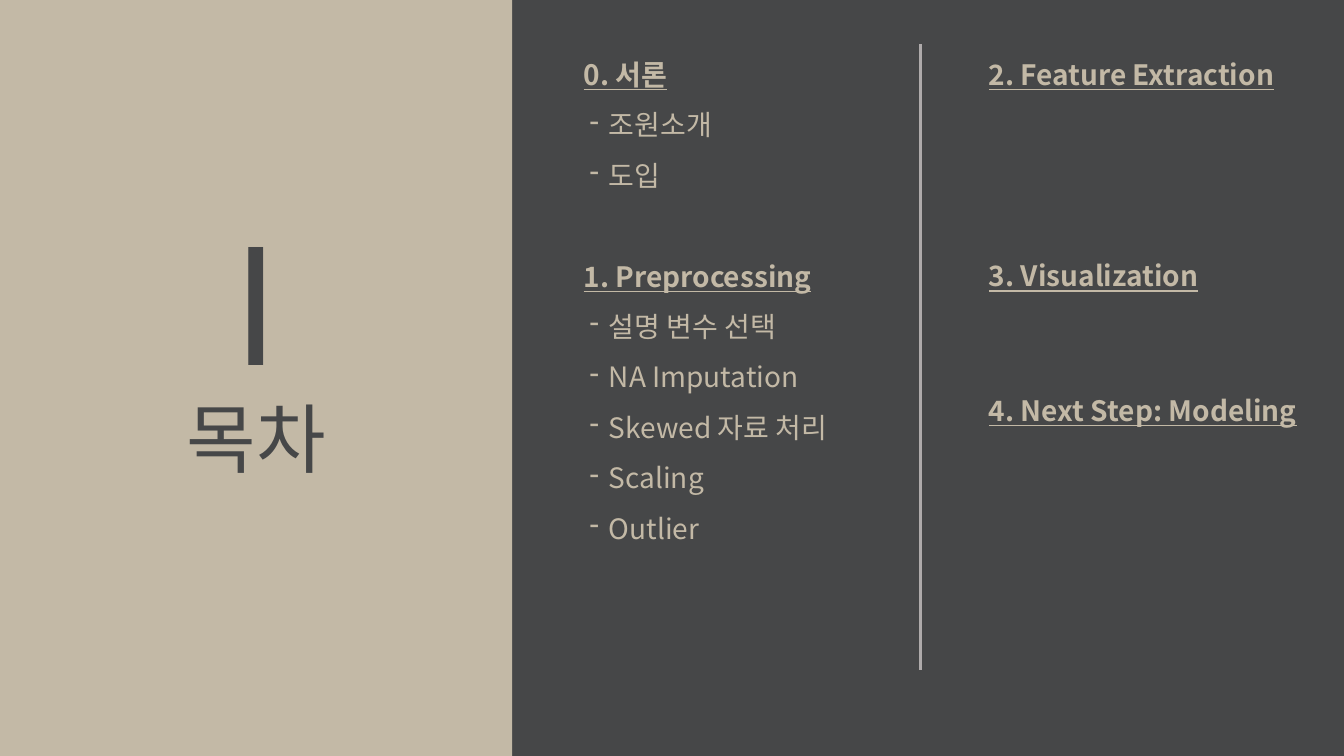
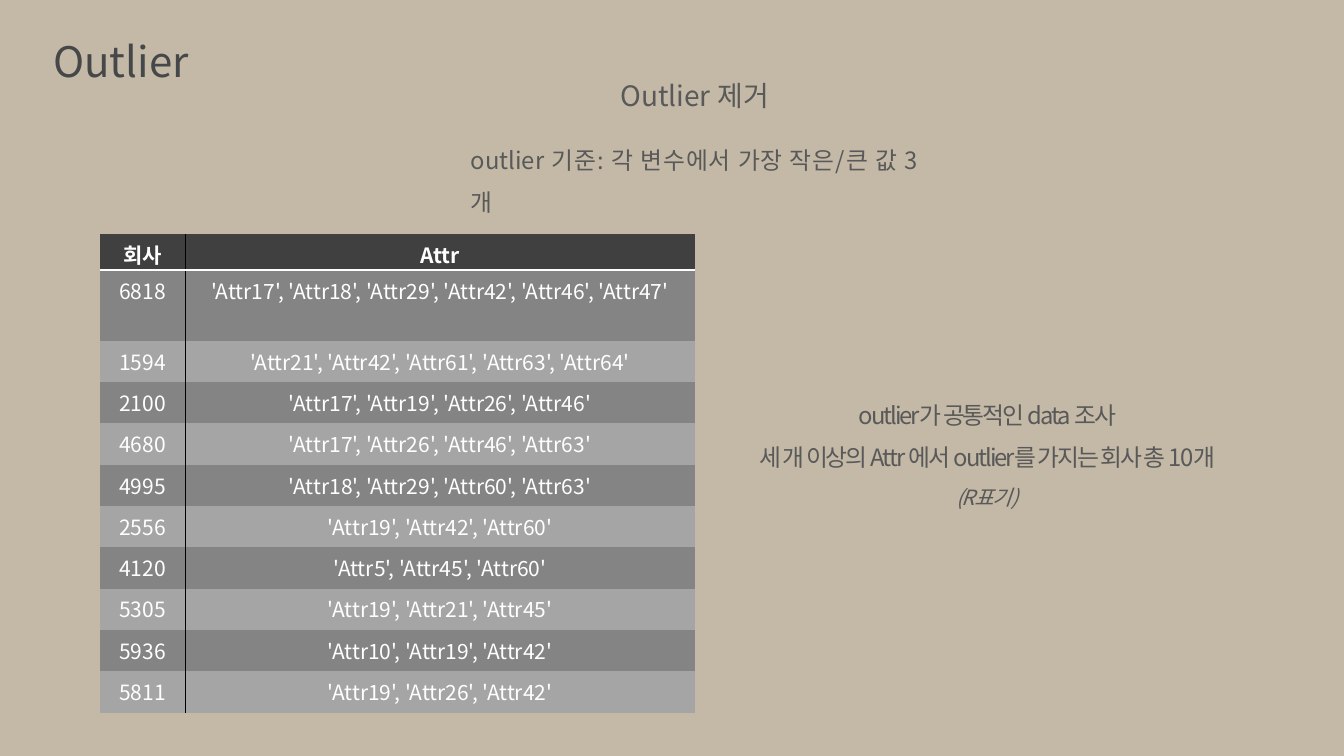
from dataclasses import dataclass

from lxml.etree import SubElement
from pptx import Presentation
from pptx.dml.color import RGBColor as RGB
from pptx.enum.shapes import MSO_CONNECTOR as CONN, MSO_SHAPE as SHAPE
from pptx.enum.text import MSO_AUTO_SIZE as FIT, PP_ALIGN as AL
from pptx.oxml.ns import qn
from pptx.util import Inches, Pt


# Colours, font and type sizes
@dataclass(frozen=True)
class Theme:
    font: str = "Noto Sans CJK KR"
    sand: str = "C3B9A6"
    slate: str = "464748"
    body: str = "595959"
    rule: str = "AFABAB"
    white: str = "FFFFFF"
    black: str = "000000"
    header: str = "404040"
    bands: tuple = ("848484", "A5A5A5")
    numeral: int = 115
    cover: int = 54
    title: int = 30
    list: int = 20
    text: int = 17
    small: int = 15


T = Theme()
NO_TABLE_STYLE = "{2D5ABB26-0587-4C30-8999-92F81FD0307C}"

# Contents list: (kind, text, space before in points)
LEFT_ITEMS = [
    ("head", "0. 서론", 0),
    ("item", "조원소개", 0),
    ("item", "도입", 0),
    ("wide_head", "1. Preprocessing", 36),
    ("item", "설명 변수 선택", 0),
    ("item", "NA Imputation", 0),
    ("item", "Skewed 자료 처리", 0),
    ("item", "Scaling", 0),
    ("item", "Outlier", 0),
]
RIGHT_ITEMS = [
    ("head", "2. Feature Extraction", 0),
    ("head", "3. Visualization", 120),
    ("head", "4. Next Step: Modeling", 72),
]

# Outlier table: company and the numbers of its attributes
COMPANIES = [
    (6818, (17, 18, 29, 42, 46, 47)),
    (1594, (21, 42, 61, 63, 64)),
    (2100, (17, 19, 26, 46)),
    (4680, (17, 26, 46, 63)),
    (4995, (18, 29, 60, 63)),
    (2556, (19, 42, 60)),
    (4120, (5, 45, 60)),
    (5305, (19, 21, 45)),
    (5936, (10, 19, 42)),
    (5811, (19, 26, 42)),
]


def box(*lengths):
    return [Inches(n) for n in lengths]


def add_slide(prs, color):
    s = prs.slides.add_slide(prs.slide_layouts[6])
    s.background.fill.solid()
    s.background.fill.fore_color.rgb = RGB.from_string(color)
    return s


# Text
def write(p, text, size, color, align=AL.LEFT, spacing=None, before=0,
          tracking=None, **style):
    p_format = {"alignment": align, "line_spacing": spacing,
                "space_before": Pt(before)}
    for name, value in p_format.items():
        setattr(p, name, value)
    r = p.add_run()
    r.text = text
    for name, value in {"size": Pt(size), "name": T.font, **style}.items():
        setattr(r.font, name, value)
    r.font.color.rgb = RGB.from_string(color)
    rPr = r.font._element
    SubElement(rPr, qn("a:ea")).set("typeface", T.font)
    if tracking is not None:
        rPr.set("spc", str(int(tracking * 100)))


def add_text(s, at, *lines):
    """Each line is a dict of arguments for write()."""
    tf = s.shapes.add_textbox(*box(*at)).text_frame
    tf.word_wrap = True
    tf.auto_size = FIT.SHAPE_TO_FIT_TEXT
    for i, line in enumerate(lines):
        write(tf.paragraphs[0] if i == 0 else tf.add_paragraph(), **line)
    return tf


def add_dash(p):
    pPr = p._p.get_or_add_pPr()
    pPr.set("marL", str(Inches(0.25)))
    pPr.set("indent", str(Inches(-0.19)))
    SubElement(pPr, qn("a:buChar")).set("char", "-")


def add_contents(s, at, items):
    heading = {"bold": True, "underline": True}
    kinds = {"head": heading, "wide_head": {**heading, "spacing": 1.5},
             "item": {"spacing": 1.5}}
    tf = add_text(s, at, *(
        dict(text=text, size=T.list, color=T.sand, before=before, **kinds[kind])
        for kind, text, before in items))
    for p, (kind, *_) in zip(tf.paragraphs, items):
        if kind == "item":
            add_dash(p)


# Shapes and lines
def add_panel(s, at, color):
    sp = s.shapes.add_shape(SHAPE.RECTANGLE, *box(*at))
    sp.shadow.inherit = False
    sp.fill.solid()
    sp.fill.fore_color.rgb = RGB.from_string(color)
    sp.line.fill.background()


def add_rule(s, ends, color, width):
    ln = s.shapes.add_connector(CONN.STRAIGHT, *box(*ends))
    ln.line.color.rgb = RGB.from_string(color)
    ln.line.width = Pt(width)
    SubElement(ln._element.spPr, qn("a:effectLst"))


# Table
def add_border(cell, side, color, width):
    ln = SubElement(cell._tc.get_or_add_tcPr(), qn(f"a:ln{side}"))
    ln.set("w", str(Pt(width)))
    SubElement(SubElement(ln, qn("a:solidFill")), qn("a:srgbClr")).set("val", color)


def add_table(s, at, rows, widths, heights):
    table = s.shapes.add_table(len(rows), len(widths), *box(*at)).table
    table._tbl.tblPr.find(qn("a:tableStyleId")).text = NO_TABLE_STYLE
    table.horz_banding = False
    for col, width in zip(table.columns, widths):
        col.width = Inches(width)
    for i, (row, height) in enumerate(zip(rows, heights)):
        table.rows[i].height = Inches(height)
        for j, text in enumerate(row):
            cell = table.cell(i, j)
            # Borders come before the fill in the cell properties
            add_border(cell, "L" if j else "R", T.black, 1)
            if i == 0:
                add_border(cell, "B", T.white, 2)
            cell.fill.solid()
            color = T.bands[(i - 1) % 2] if i else T.header
            cell.fill.fore_color.rgb = RGB.from_string(color)
            write(cell.text_frame.paragraphs[0], text, T.small, T.white,
                  AL.CENTER, bold=i == 0)


# Slides
def contents_slide(prs):
    s = add_slide(prs, T.slate)
    add_panel(s, (0, 0, 5.08, 7.5), T.sand)
    label = {"color": T.slate, "align": AL.CENTER}
    add_text(s, (1, 3.84, 3.08, 1.01), dict(text="목차", size=T.cover, **label))
    add_text(s, (1.3, 1.98, 2.48, 2.04), dict(text="I", size=T.numeral, **label))
    add_contents(s, (5.69, 0.52, 2.86, 5.45), LEFT_ITEMS)
    add_rule(s, (9.13, 0.44, 9.13, 6.65), T.rule, 1.5)
    add_contents(s, (9.71, 0.52, 3.27, 3.8), RIGHT_ITEMS)


def outlier_slide(prs):
    s = add_slide(prs, T.sand)
    centred = {"color": T.body, "align": AL.CENTER}
    add_text(s, (-0.46, 0.3, 3.32, 0.61),
             dict(text="Outlier", size=T.title, color=T.slate, align=AL.CENTER))
    add_text(s, (4.16, 0.73, 5.46, 0.44),
             dict(text="Outlier 제거", size=T.list, **centred))

    note = {**centred, "spacing": 1.5, "tracking": -1.5}
    add_text(s, (7.31, 3.78, 4.97, 1.39),
             dict(text="outlier가 공통적인 data 조사", size=T.text, **note),
             dict(text="세 개 이상의 Attr 에서 outlier를 가지는 회사 총 10개",
                  size=T.text, **note),
             dict(text="(R표기)", size=T.small, italic=True, **note))

    rows = [("회사", "Attr")] + [
        (str(company), ", ".join(f"'Attr{n}'" for n in attrs))
        for company, attrs in COMPANIES]
    heights = [0.36, 0.7] + [0.41] * (len(rows) - 2)
    add_table(s, (0.99, 2.32, 5.9, 4.75), rows, (0.85, 5.05), heights)

    add_text(s, (4.57, 1.25, 4.63, 0.53),
             dict(text="outlier 기준: 각 변수에서 가장 작은/큰 값 3개", size=T.text,
                  color=T.body, align=AL.JUSTIFY, spacing=1.5))


def main():
    prs = Presentation()
    prs.slide_width, prs.slide_height = box(13.33, 7.5)
    contents_slide(prs)
    outlier_slide(prs)
    prs.save("out.pptx")


if __name__ == "__main__":
    main()
